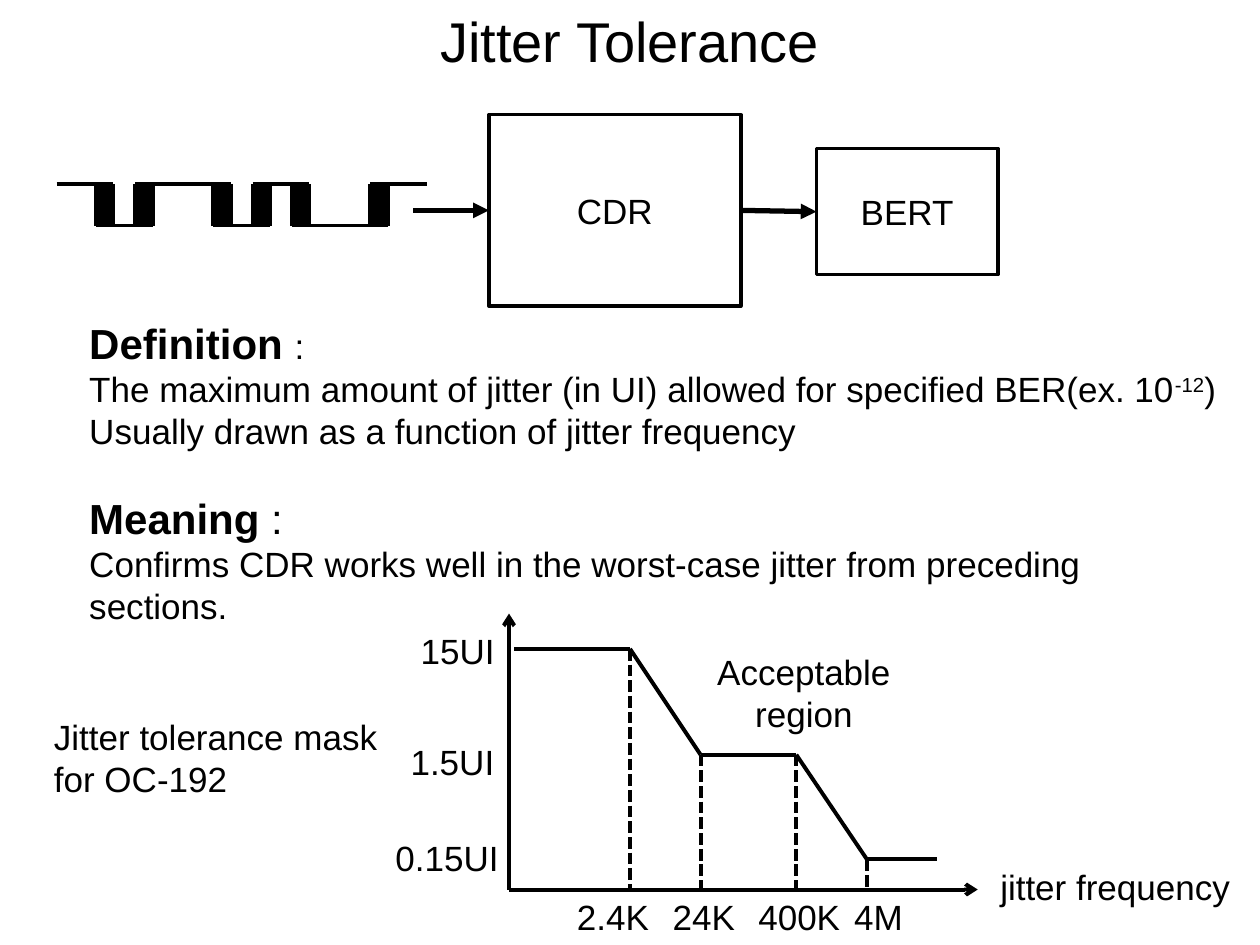
from dataclasses import dataclass
from itertools import pairwise

from lxml import etree
from pptx import Presentation
from pptx import util as u
from pptx.dml.color import RGBColor
from pptx.enum import dml, shapes, text
from pptx.oxml import ns

COLS, ROWS = 100, 75
CELL = u.Inches(0.1)


@dataclass(frozen=True)
class Theme:
    """Colours, type sizes and line widths of the slide."""
    font: str = "Arial"
    ink: RGBColor = RGBColor(0, 0, 0)
    title: int = 32
    heading: int = 24
    body: int = 20
    border: float = 2
    stroke: float = 2.25
    arrow: float = 3


THEME = Theme()


@dataclass(frozen=True)
class Box:
    """A region measured in grid columns and rows."""
    x: float
    y: float
    w: float
    h: float

    def inner(self, dx, dy, w, h):
        """Return a box offset from this one's top left corner."""
        return Box(self.x + dx, self.y + dy, w, h)

    def emu(self):
        """Return left, top, width and height as lengths."""
        return [cells(v) for v in (self.x, self.y, self.w, self.h)]


def cells(n):
    """Convert grid cells to a length."""
    return u.Emu(round(n * CELL))


def style(font, size):
    """Apply the theme's face and ink to a font."""
    font.name, font.size = THEME.font, u.Pt(size)
    font.color.rgb = THEME.ink


def add_text(slide, box, lines, size=THEME.body, align=text.PP_ALIGN.LEFT):
    """Add a wrapping text box with one paragraph per line."""
    tf = slide.shapes.add_textbox(*box.emu()).text_frame
    tf.word_wrap = True
    for i, line in enumerate(lines):
        p = tf.paragraphs[0] if i == 0 else tf.add_paragraph()
        p.alignment = align
        style(p.font, size)
        p.add_run().text = line
    return tf


def add_line(slide, start, end, width=THEME.stroke, dash=None, tip=None):
    """Add a straight connector, dashed or with an arrowhead if asked."""
    sp = slide.shapes.add_connector(
        shapes.MSO_CONNECTOR.STRAIGHT, *map(cells, (*start, *end)))
    sp.line.color.rgb = THEME.ink
    sp.line.width = u.Pt(width)
    if dash:
        sp.line.dash_style = dash
    if tip:
        etree.SubElement(sp.line._ln, ns.qn("a:tailEnd"), type=tip)
    etree.SubElement(sp._element.spPr, ns.qn("a:effectLst"))
    return sp


def add_polyline(slide, points):
    """Join successive points with connectors."""
    for start, end in pairwise(points):
        add_line(slide, start, end)


def add_block(slide, box, label):
    """Add an outlined block with a centred label."""
    sp = slide.shapes.add_shape(shapes.MSO_SHAPE.RECTANGLE, *box.emu())
    sp.shadow.inherit = False
    sp.fill.background()
    sp.line.color.rgb = THEME.ink
    sp.line.width = u.Pt(THEME.border)
    tf = sp.text_frame
    tf.vertical_anchor = text.MSO_ANCHOR.MIDDLE
    p = tf.paragraphs[0]
    p.alignment = text.PP_ALIGN.CENTER
    style(p.font, THEME.body)
    p.add_run().text = label
    return sp


def draw_jittered_signal(slide, box, traces=6, step=0.28):
    """Overlay shifted traces of one bit pattern across the box."""
    bits = [1, 0, 1, 1, 0, 1, 0, 0, 1]
    bit_width = (box.w - (traces - 1) * step) / len(bits)
    for trace in range(traces):
        left = box.x + trace * step
        points = []
        for i, bit in enumerate(bits):
            y = box.y if bit else box.y + box.h
            if i and bit == bits[i - 1]:
                points.pop()
            else:
                points.append((left + i * bit_width, y))
            points.append((left + (i + 1) * bit_width, y))
        add_polyline(slide, points)


def draw_test_chain(slide, box):
    """Draw the signal, the CDR and the BERT from left to right."""
    draw_jittered_signal(slide, box.inner(0, 5.5, 29.4, 3.3))
    cdr = add_block(slide, box.inner(34.3, 0, 20, box.h), "CDR")
    bert = add_block(slide, box.inner(60.3, 2.7, 14.4, 10), "BERT")
    mid = box.y + box.h / 2
    feed = add_line(slide, (box.x + 28.3, mid), (box.x + 34.3, mid),
                    THEME.arrow, tip="triangle")
    feed.end_connect(cdr, 1)
    link = add_line(slide, (box.x + 54.3, mid), (box.x + 60.3, mid),
                    THEME.arrow, tip="triangle")
    link.begin_connect(cdr, 3)
    link.end_connect(bert, 1)


def write_explanation(slide, box):
    """Write the definition and the meaning of jitter tolerance."""
    tf = add_text(slide, box, [
        "Definition ",
        "The maximum amount of jitter (in UI) allowed for specified BER(ex. 10",
        "Usually drawn as a function of jitter frequency",
        "Meaning ",
        "Confirms CDR works well in the worst-case jitter from preceding sections.",
    ])
    definition, limit, _, meaning, _ = tf.paragraphs
    for p, size in ((definition, THEME.body), (meaning, THEME.heading)):
        p.runs[0].font.bold = True
        p.runs[0].font.size = u.Pt(THEME.heading)
        r = p.add_run()
        r.text = ":"
        r.font.size = u.Pt(size)
    meaning.space_before = u.Pt(23)
    r = limit.add_run()
    r.text = "-12"
    r.font._element.set("baseline", "30000")
    limit.add_run().text = ")"


def draw_mask(slide, box):
    """Plot the tolerance mask over axes that meet at the box's lower left."""
    x, base = box.x, box.y + box.h
    add_line(slide, (x, base), (x, box.y), tip="arrow")
    add_line(slide, (x, base), (x + box.w, base), tip="arrow")
    high, middle, low = 2.8, 11.2, 19.5
    corners = [(9.6, high), (15.2, middle), (22.8, middle), (28.4, low)]
    mask = [(0.4, high), *corners, (34, low)]
    add_polyline(slide, [(x + dx, box.y + dy) for dx, dy in mask])
    for dx, dy in corners:
        add_line(slide, (x + dx, box.y + dy), (x + dx, base),
                 dash=dml.MSO_LINE.SQUARE_DOT)
    labels = [("15UI", -8, 0.8, 8.8), ("1.5UI", -8.8, 9.6, 11.2),
              ("0.15UI", -10, 17.2, 11.2), ("2.4K", 4.4, box.h, 10.8),
              ("24K", 12, box.h, 7.6), ("400K", 18.8, box.h, 9.2),
              ("4M", 26.4, box.h, 7.2), ("jitter frequency", 38, 19.5, 20.8)]
    for label, dx, dy, width in labels:
        add_text(slide, box.inner(dx, dy, width, 4.4), [label])
    add_text(slide, box.inner(14.8, 2.4, 17.2, 7.7), ["Acceptable", "region"],
             align=text.PP_ALIGN.CENTER)


def main():
    """Build and save the slide."""
    prs = Presentation()
    prs.slide_width, prs.slide_height = cells(COLS), cells(ROWS)
    slide = prs.slides.add_slide(prs.slide_layouts[6])
    add_text(slide, Box(0, 0, COLS, 6.4), ["Jitter Tolerance"],
             THEME.title, text.PP_ALIGN.CENTER)
    draw_test_chain(slide, Box(4.5, 9.1, 74.7, 15.2))
    write_explanation(slide, Box(6.1, 24.7, 92.2, 22.6))
    draw_mask(slide, Box(40.4, 48.7, 37.2, 21.9))
    add_text(slide, Box(3.3, 56.3, 28, 7.7),
             ["Jitter tolerance mask for OC-192"])
    prs.save("out.pptx")


if __name__ == "__main__":
    main()
